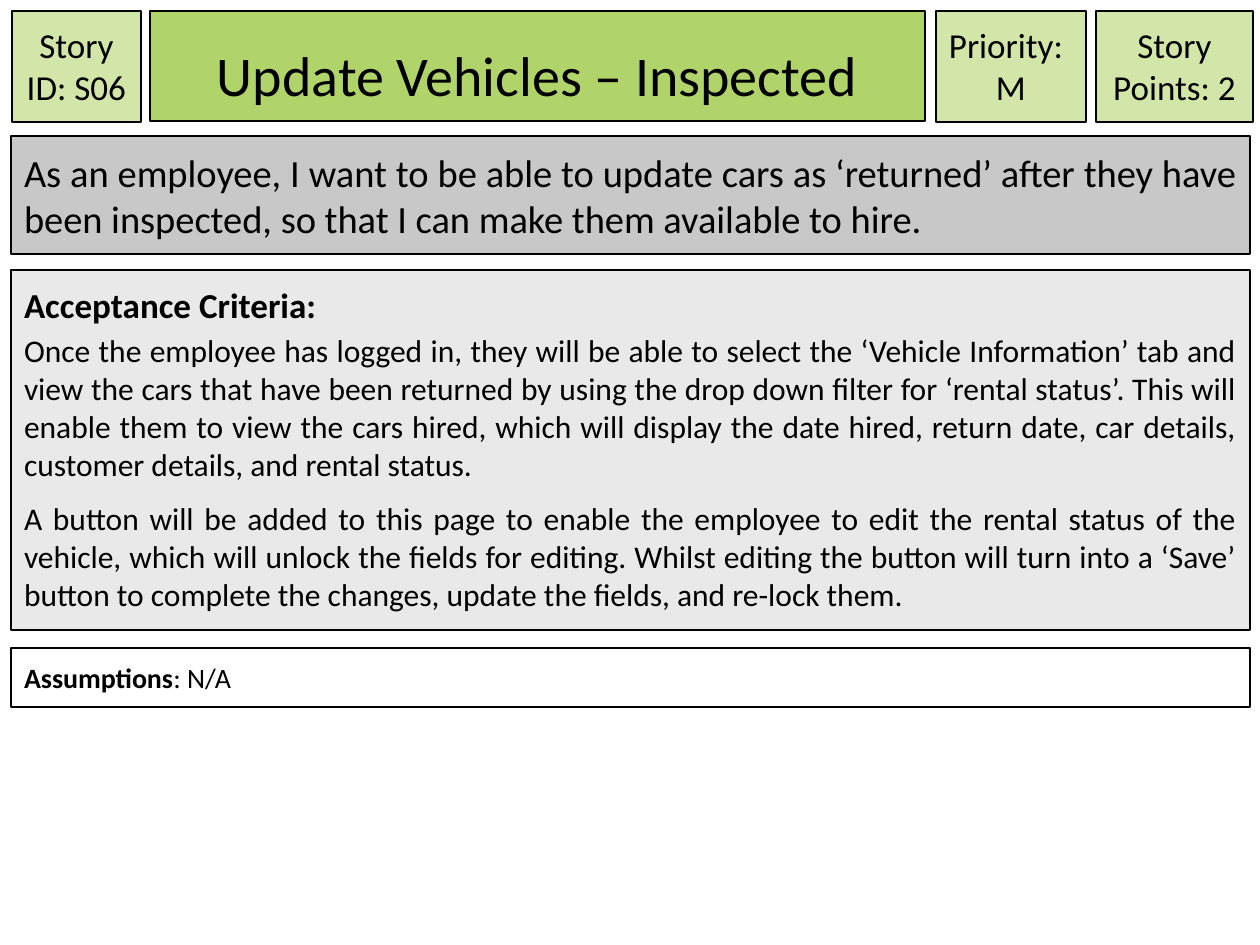
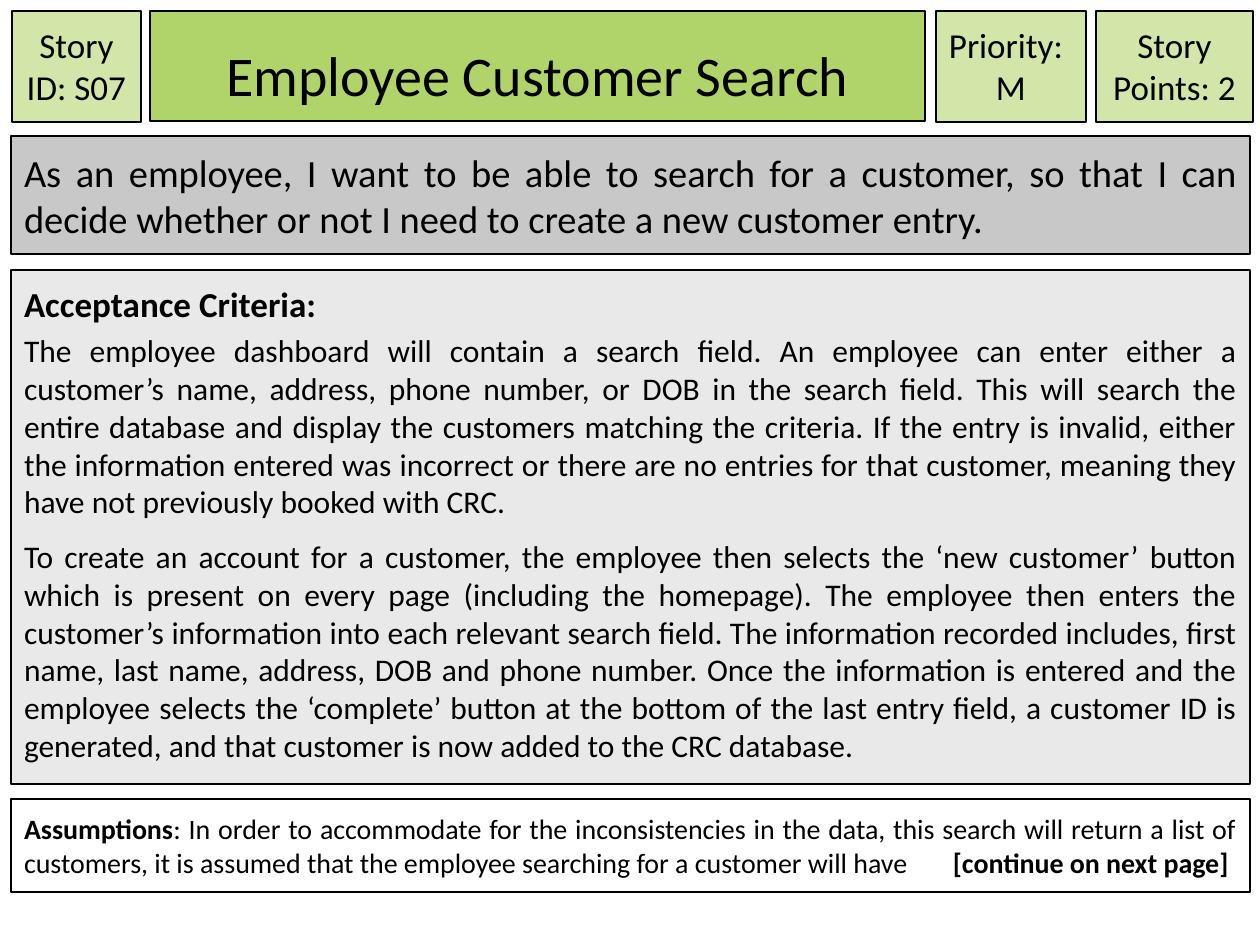
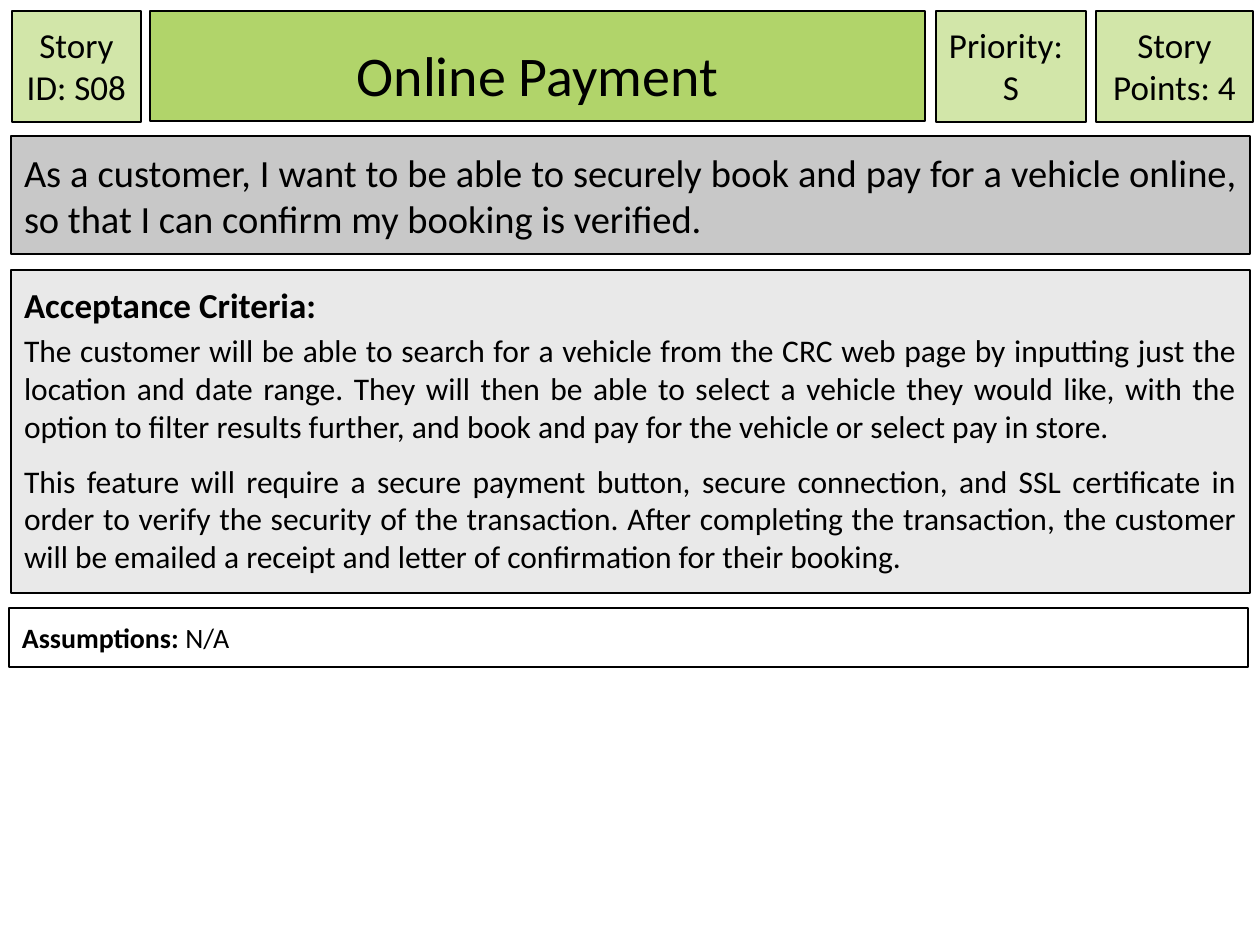
from dataclasses import dataclass

from lxml.etree import SubElement
from pptx import Presentation
from pptx.dml.color import RGBColor
from pptx.enum.shapes import MSO_SHAPE
from pptx.enum.text import MSO_ANCHOR as Anchor, MSO_AUTO_SIZE as AutoSize, PP_ALIGN as Align
from pptx.oxml.ns import qn
from pptx.util import Emu, Pt

PX_PER_INCH = 126
EMU_PER_PX = 914400 / PX_PER_INCH

# Shared layout, in px
MARGIN = 11
CARD_WIDTH = 1239
HEADER_TOP = 11
INSET = 13
CRITERIA_TOP = 270
CONTINUE_TAB = 929


def px(length):
    return Emu(round(length * EMU_PER_PX))


def color(hex_string):
    return RGBColor.from_string(hex_string)


@dataclass
class Story:
    story_id: str
    title: str
    priority: str
    points: int
    summary: str
    criteria: list
    criteria_height: int
    assumptions: list  # (text, bold) pairs
    assumptions_top: int
    assumptions_height: int = 59
    assumptions_left: int = MARGIN


class StoryCards:
    FONT = "Calibri"
    INK = "000000"
    TITLE_FILL = "B1D46A"
    BADGE_FILL = "D2E6A9"
    SUMMARY_FILL = "C8C8C8"
    CRITERIA_FILL = "E9E9E9"
    ASSUMPTIONS_FILL = "FFFFFF"

    def __init__(self, presentation):
        self.presentation = presentation
        self.slide = None

    def new_slide(self):
        title_only = self.presentation.slide_layouts[5]
        self.slide = self.presentation.slides.add_slide(title_only)

    def style_box(self, shape, fill, line_width=0.75, anchor=Anchor.TOP):
        shape.fill.solid()
        shape.fill.fore_color.rgb = color(fill)
        shape.line.color.rgb = color(self.INK)
        shape.line.width = Pt(line_width)
        frame = shape.text_frame
        frame.word_wrap = True
        frame.auto_size = AutoSize.NONE
        frame.vertical_anchor = anchor
        frame.margin_left = frame.margin_right = px(INSET)
        frame.margin_top = frame.margin_bottom = px(INSET)
        return frame

    def box(self, left, top, width, height, fill):
        shape = self.slide.shapes.add_shape(
            MSO_SHAPE.RECTANGLE, px(left), px(top), px(width), px(height))
        shape.shadow.inherit = False
        return self.style_box(shape, fill)

    def paragraph(self, frame, runs, size, align=Align.JUSTIFY, before=0, after=0):
        first = frame.paragraphs[0]
        paragraph = frame.add_paragraph() if first.runs else first
        paragraph.alignment = align
        paragraph.space_before = Pt(before)
        paragraph.space_after = Pt(after)
        for text, bold in runs:
            run = paragraph.add_run()
            run.text = text
            run.font.name = self.FONT
            run.font.size = Pt(size)
            run.font.bold = bold
            run.font.color.rgb = color(self.INK)
        return paragraph

    def title(self, text):
        shape = self.slide.shapes.title
        shape.left, shape.top = px(150), px(HEADER_TOP)
        shape.width, shape.height = px(775), px(110)
        frame = self.style_box(shape, self.TITLE_FILL, 1.5, Anchor.BOTTOM)
        self.paragraph(frame, [(text, False)], 32, Align.CENTER)

    def badge(self, left, width, lines):
        frame = self.box(left, HEADER_TOP, width, 111, self.BADGE_FILL)
        for text, align in lines:
            self.paragraph(frame, [(text, False)], 20, align)

    def summary(self, text):
        frame = self.box(MARGIN, 136, CARD_WIDTH, 118, self.SUMMARY_FILL)
        self.paragraph(frame, [(text, False)], 22)

    def criteria(self, texts, height):
        frame = self.box(MARGIN, CRITERIA_TOP, CARD_WIDTH, height, self.CRITERIA_FILL)
        self.paragraph(frame, [("Acceptance Criteria:", True)], 20, Align.LEFT)
        for text in texts:
            self.paragraph(frame, [(text, False)], 18, before=3.6, after=6)

    def assumptions(self, runs, left, top, height):
        frame = self.box(left, top, CARD_WIDTH, height, self.ASSUMPTIONS_FILL)
        paragraph = self.paragraph(frame, runs, 16)
        if any("\t" in text for text, _ in runs):
            tabs = SubElement(paragraph._p.get_or_add_pPr(), qn("a:tabLst"))
            SubElement(tabs, qn("a:tab"), pos=str(px(CONTINUE_TAB)), algn="l")

    def add_story(self, story):
        self.new_slide()
        # Header row
        self.badge(12, 129, [(f"Story ID: {story.story_id}", Align.CENTER)])
        self.title(story.title)
        self.badge(936, 150, [("Priority:", Align.LEFT), (story.priority, Align.CENTER)])
        self.badge(1096, 157, [(f"Story Points: {story.points}", Align.CENTER)])
        # Card body
        self.summary(story.summary)
        self.criteria(story.criteria, story.criteria_height)
        self.assumptions(story.assumptions, story.assumptions_left,
                         story.assumptions_top, story.assumptions_height)


STORIES = [
    Story(
        "S06", "Update Vehicles – Inspected", "M", 2,
        "As an employee, I want to be able to update cars as ‘returned’ after they have "
        "been inspected, so that I can make them available to hire.",
        ["Once the employee has logged in, they will be able to select the ‘Vehicle "
         "Information’ tab and view the cars that have been returned by using the drop down "
         "filter for ‘rental status’. This will enable them to view the cars hired, which "
         "will display the date hired, return date, car details, customer details, and "
         "rental status.",
         "A button will be added to this page to enable the employee to edit the rental "
         "status of the vehicle, which will unlock the fields for editing. Whilst editing "
         "the button will turn into a ‘Save’ button to complete the changes, update the "
         "fields, and re-lock them."],
        360, [("Assumptions", True), (": N/A", False)], 648),
    Story(
        "S07", "Employee Customer Search", "M", 2,
        "As an employee, I want to be able to search for a customer, so that I can decide "
        "whether or not I need to create a new customer entry.",
        ["The employee dashboard will contain a search field. An employee can enter either a "
         "customer’s name, address, phone number, or DOB in the search field. This will "
         "search the entire database and display the customers matching the criteria. If the "
         "entry is invalid, either the information entered was incorrect or there are no "
         "entries for that customer, meaning they have not previously booked with CRC.",
         "To create an account for a customer, the employee then selects the ‘new customer’ "
         "button which is present on every page (including the homepage). The employee then "
         "enters the customer’s information into each relevant search field. The information "
         "recorded includes, first name, last name, address, DOB and phone number. Once the "
         "information is entered and the employee selects the ‘complete’ button at the bottom "
         "of the last entry field, a customer ID is generated, and that customer is now added "
         "to the CRC database."],
        514,
        [("Assumptions", True),
         (": In order to accommodate for the inconsistencies in the data, this search will "
          "return a list of customers, it is assumed that the employee searching for a "
          "customer will have", False),
         ("\t[continue on next page]", True)],
        799, assumptions_height=93),
    Story(
        "S08", "Online Payment", "S", 4,
        "As a customer, I want to be able to securely book and pay for a vehicle online, so "
        "that I can confirm my booking is verified.",
        ["The customer will be able to search for a vehicle from the CRC web page by "
         "inputting just the location and date range. They will then be able to select a "
         "vehicle they would like, with the option to filter results further, and book and "
         "pay for the vehicle or select pay in store.",
         "This feature will require a secure payment button, secure connection, and SSL "
         "certificate in order to verify the security of the transaction. After completing "
         "the transaction, the customer will be emailed a receipt and letter of confirmation "
         "for their booking."],
        323, [("Assumptions: ", True), ("N/A", False)], 608, assumptions_left=9),
]


def main():
    presentation = Presentation()
    presentation.slide_width = px(1260)
    presentation.slide_height = px(945)
    cards = StoryCards(presentation)
    for story in STORIES:
        cards.add_story(story)
    presentation.save("out.pptx")


if __name__ == "__main__":
    main()
